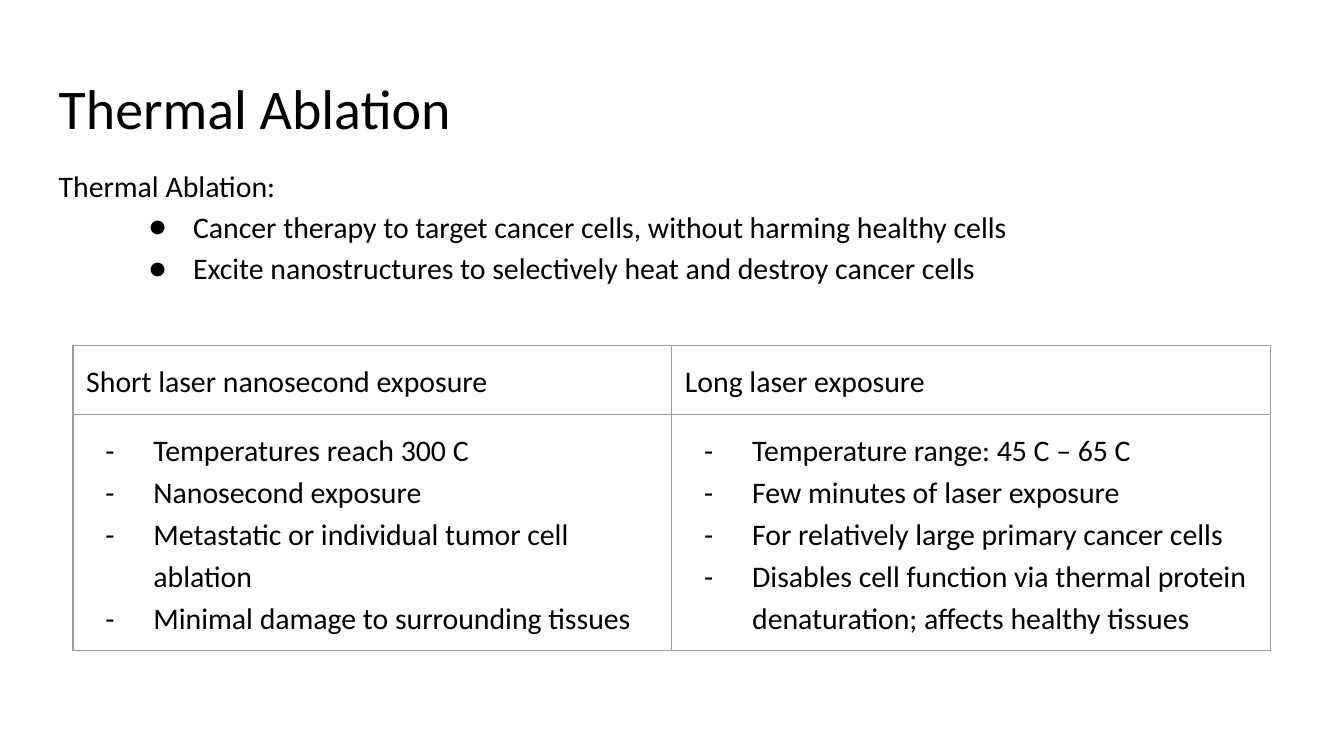
from lxml.etree import SubElement
from pptx import Presentation
from pptx.dml.color import RGBColor
from pptx.enum.text import MSO_ANCHOR, MSO_AUTO_SIZE, PP_ALIGN
from pptx.oxml import parse_xml
from pptx.oxml.ns import nsdecls, qn
from pptx.util import Cm, Pt

BLACK = RGBColor(0, 0, 0)
GREY = RGBColor(0x9E, 0x9E, 0x9E)
FONT = "Calibri"
INSET = Cm(0.25)

POINTS = [
    "Cancer therapy to target cancer cells, without harming healthy cells",
    "Excite nanostructures to selectively heat and destroy cancer cells",
]
HEADS = ["Short laser nanosecond exposure", "Long laser exposure"]
FACTS = [
    [
        "Temperatures reach 300 C",
        "Nanosecond exposure",
        "Metastatic or individual tumor cell ablation",
        "Minimal damage to surrounding tissues",
    ],
    [
        "Temperature range: 45 C – 65 C",
        "Few minutes of laser exposure",
        "For relatively large primary cancer cells",
        "Disables cell function via thermal protein denaturation; affects healthy tissues",
    ],
]


def pad(box):
    """Give a text frame or cell even insets."""
    box.margin_left = box.margin_right = INSET
    box.margin_top = box.margin_bottom = INSET


def write(para, text, size=16):
    """Add one styled run to a paragraph."""
    run = para.add_run()
    run.text = text
    run.font.name = FONT
    run.font.size = Pt(size)
    run.font.color.rgb = BLACK


def bullet(para, mark, left, hang):
    """Give a paragraph a bullet and a hanging indent."""
    props = para._p.get_or_add_pPr()
    props.set("marL", str(Cm(left)))
    props.set("indent", str(-Cm(hang)))
    color = SubElement(props, qn("a:buClr"))
    SubElement(color, qn("a:srgbClr")).set("val", str(BLACK))
    SubElement(props, qn("a:buFont")).set("typeface", FONT)
    SubElement(props, qn("a:buChar")).set("char", mark)


def fill_text(frame, lines, mark=None, left=0, hang=0):
    """Write lines into a frame, after any text it already holds."""
    for text in lines:
        para = frame.paragraphs[-1]
        if para.runs:
            para = frame.add_paragraph()
        para.line_spacing = 1.15
        if mark:
            bullet(para, mark, left, hang)
        write(para, text)


def add_title(slide, left, top, width, height):
    """Place and format the title."""
    title = slide.shapes.title
    title.left, title.top = Cm(left), Cm(top)
    title.width, title.height = Cm(width), Cm(height)
    frame = title.text_frame
    pad(frame)
    frame.auto_size = MSO_AUTO_SIZE.NONE
    frame.vertical_anchor = MSO_ANCHOR.TOP
    para = frame.paragraphs[0]
    para.alignment = PP_ALIGN.LEFT
    write(para, "Thermal Ablation", 30)


def add_intro(slide, left, top, width, height):
    """Place the lead line and its bullets."""
    box = slide.shapes.add_textbox(Cm(left), Cm(top), Cm(width), Cm(height))
    frame = box.text_frame
    frame.word_wrap = True
    pad(frame)
    fill_text(frame, ["Thermal Ablation:"])
    fill_text(frame, POINTS, "●", 2.54, 0.84)


def frame_cell(cell):
    """Clear a cell's fill and draw its borders."""
    cell.fill.background()
    props = cell._tc.get_or_add_tcPr()
    for spot, side in enumerate("LRTB"):
        line = parse_xml(
            f'<a:ln{side} {nsdecls("a")} w="{Pt(0.75)}"><a:solidFill>'
            f'<a:srgbClr val="{GREY}"/></a:solidFill></a:ln{side}>'
        )
        props.insert(spot, line)


def add_grid(slide, left, top, width, height):
    """Place the table that compares the exposures."""
    head = 1.3
    shape = slide.shapes.add_table(2, 2, Cm(left), Cm(top), Cm(width), Cm(height))
    table = shape.table
    table.first_row = table.horz_banding = False
    table.rows[0].height = Cm(head)
    table.rows[1].height = Cm(height - head)
    for col, (name, facts) in enumerate(zip(HEADS, FACTS)):
        table.columns[col].width = Cm(width / 2)
        fill_text(table.cell(0, col).text_frame, [name])
        fill_text(table.cell(1, col).text_frame, facts, "-", 1.27, 0.91)
    for cell in table.iter_cells():
        pad(cell)
        frame_cell(cell)


def main():
    """Build the slide and save it."""
    deck = Presentation()
    deck.slide_width, deck.slide_height = Cm(25.4), Cm(14.29)
    slide = deck.slides.add_slide(deck.slide_layouts[5])
    add_title(slide, 0.86, 1.14, 23.67, 1.6)
    add_intro(slide, 0.86, 2.82, 23.67, 9.5)
    add_grid(slide, 1.38, 6.53, 22.63, 5.76)
    deck.save("out.pptx")


if __name__ == "__main__":
    main()
